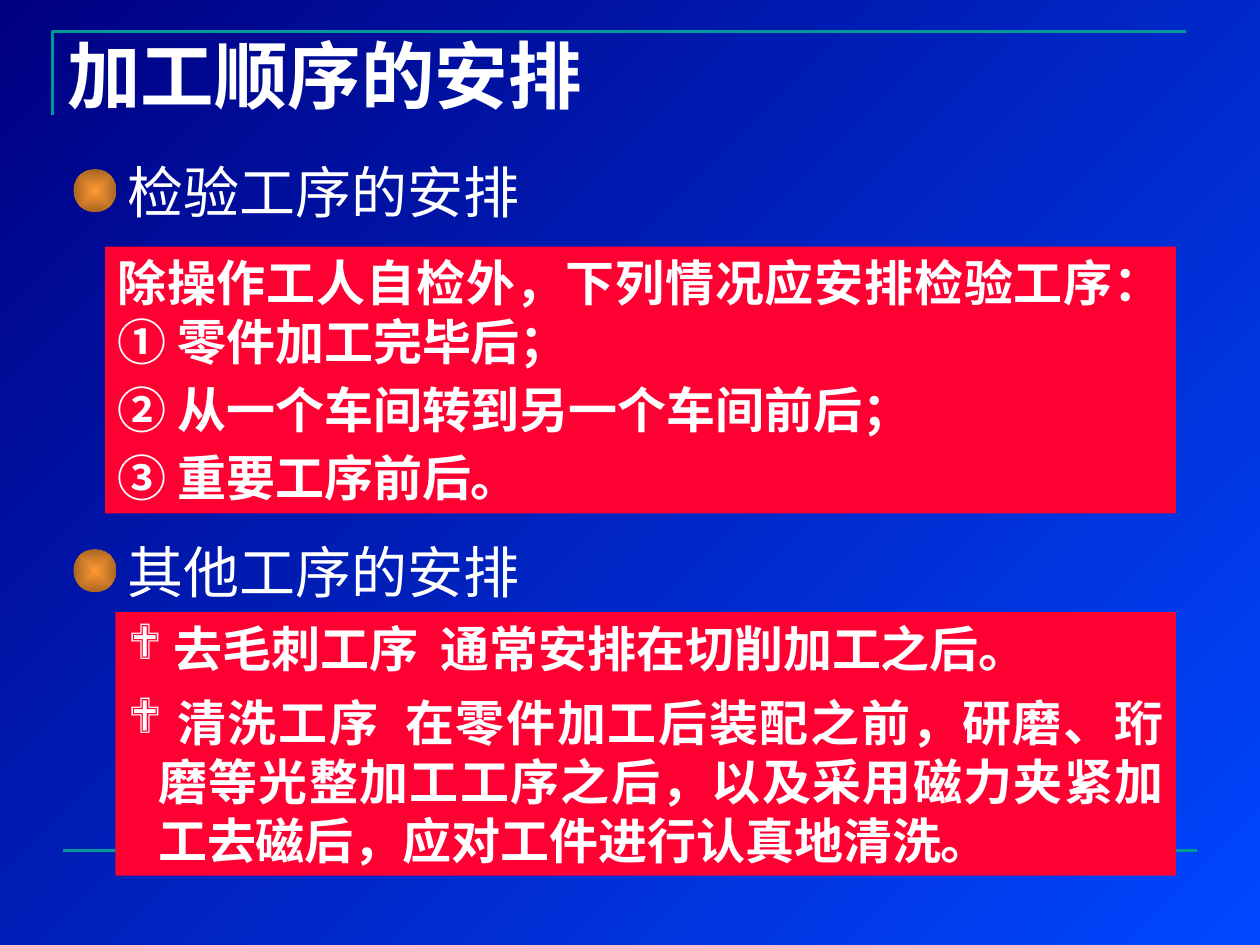
from lxml.etree import SubElement
from pptx import Presentation
from pptx.dml.color import RGBColor
from pptx.enum.shapes import MSO_CONNECTOR, MSO_SHAPE
from pptx.enum.text import MSO_ANCHOR, MSO_AUTO_SIZE, PP_ALIGN
from pptx.oxml import parse_xml
from pptx.oxml.ns import nsdecls, qn
from pptx.util import Inches, Pt

COLORS = {"navy": "000082", "blue": "0047FF", "rule": "009999", "panel": "FF0033",
          "text": "FFFFFF", "ball_core": "FF9933", "ball_edge": "A96522"}
SANS = "Noto Sans CJK SC"
CELL = Inches(10) / 120  # the slide is a grid of 120 columns by 90 rows

TITLE = {"size": Pt(42), "bold": True, "name": SANS}
HEADING = {"size": Pt(32), "bold": False, "name": SANS}
BODY = {"size": Pt(28), "bold": True, "name": SANS}

CHECKS = ["除操作工人自检外，下列情况应安排检验工序： ① 零件加工完毕后；",
          "② 从一个车间转到另一个车间前后；",
          "③ 重要工序前后。"]
OTHERS = [" 去毛刺工序  通常安排在切削加工之后。",
          " 清洗工序  在零件加工后装配之前，研磨、珩磨等光整加工工序之后，"
          "以及采用磁力夹紧加工去磁后，应对工件进行认真地清洗。"]


def rgb(key):
    return RGBColor.from_string(COLORS[key])


def grid(*cells):
    return [round(cell * CELL) for cell in cells]


def style_rule(rule):
    rule.line.color.rgb = rgb("rule")
    rule.line.width = Pt(1.5)
    SubElement(rule._element.spPr, qn("a:effectLst"))


def set_gradient(fill, keys):
    fill.gradient()
    for stop, key, position in zip(fill.gradient_stops, keys, (0, 1)):
        stop.color.rgb = rgb(key)
        stop.position = position


def write(frame, texts, font, align=PP_ALIGN.JUSTIFY, gap=0, spacing=None, bullet=None):
    settings = {"word_wrap": True, "auto_size": MSO_AUTO_SIZE.SHAPE_TO_FIT_TEXT,
                "vertical_anchor": MSO_ANCHOR.TOP}
    for name, value in settings.items():
        setattr(frame, name, value)
    for index, text in enumerate(texts):
        paragraph = frame.add_paragraph() if index else frame.paragraphs[0]
        paragraph.alignment = align
        paragraph.space_before = Pt(gap if index else 0)
        if spacing:
            paragraph.line_spacing = spacing
        if bullet:
            props = paragraph._p.get_or_add_pPr()
            hang = Inches(0.24)
            props.set("marL", str(hang))
            props.set("indent", str(-hang))
            SubElement(props, qn("a:buFont")).set("typeface", "Wingdings")
            SubElement(props, qn("a:buChar")).set("char", bullet)
        run = paragraph.add_run()
        run.text = text
        for name, value in font.items():
            setattr(run.font, name, value)
        run.font.color.rgb = rgb("text")
        east_asian = parse_xml(f'<a:ea {nsdecls("a")} typeface="{SANS}"/>')
        run.font._element.find(qn("a:latin")).addnext(east_asian)


def add_frame_rules(slide, left, top, width, height):
    # Corner rule beside the title
    outline = slide.shapes.build_freeform(*grid(left, top + 8))
    outline.add_line_segments([grid(left, top), grid(left + width, top)], close=False)
    corner = outline.convert_to_shape()
    corner.fill.background()
    style_rule(corner)
    # Footer rule
    foot = top + height
    footer = slide.shapes.add_connector(
        MSO_CONNECTOR.STRAIGHT, *grid(left + 1, foot, left + width + 1, foot))
    style_rule(footer)


def add_title(slide, box, text):
    title = slide.shapes.add_textbox(*grid(*box))
    write(title.text_frame, [text], TITLE, PP_ALIGN.LEFT)


def add_heading(slide, left, top, text, font):
    group = slide.shapes.add_group_shape()
    # Glowing ball
    ball = group.shapes.add_shape(MSO_SHAPE.OVAL, *grid(left, top + 2.3, 4.1, 4.1))
    ball.shadow.inherit = False
    ball.line.fill.background()
    set_gradient(ball.fill, ("ball_core", "ball_edge"))
    gradient = ball._element.spPr.find(qn("a:gradFill"))
    gradient.remove(gradient.find(qn("a:lin")))
    gradient.append(parse_xml(
        f'<a:path {nsdecls("a")} path="rect">'
        '<a:fillToRect l="50000" t="50000" r="50000" b="50000"/></a:path>'))
    # Heading text
    label = group.shapes.add_textbox(*grid(left + 4, top, 60, 8.3))
    write(label.text_frame, [text], font, spacing=1.1)


def add_panel(slide, box, texts, gap, bullet=None):
    panel = slide.shapes.add_shape(MSO_SHAPE.RECTANGLE, *grid(*box))
    panel.shadow.inherit = False
    panel.fill.solid()
    panel.fill.fore_color.rgb = rgb("panel")
    panel.line.fill.background()
    write(panel.text_frame, texts, BODY, gap=gap, bullet=bullet)


def main():
    deck = Presentation()
    deck.slide_width, deck.slide_height = grid(120, 90)
    slide = deck.slides.add_slide(deck.slide_layouts[6])
    background = slide.background.fill
    set_gradient(background, ("navy", "blue"))
    background.gradient_angle = 315

    add_frame_rules(slide, 5, 3, 108, 78)
    # Inspection operations
    add_panel(slide, (10, 23.5, 102, 25.4), CHECKS, gap=5.2)
    # Other operations
    add_heading(slide, 7, 50, "其他工序的安排", HEADING)
    add_panel(slide, (11, 58.3, 101, 25.1), OTHERS, gap=8.8, bullet="❖")
    add_heading(slide, 7, 13.8, "检验工序的安排", HEADING | {"name": "Times New Roman"})
    add_title(slide, (5.2, 2.3, 102.1, 9.6), "加工顺序的安排")
    deck.save("out.pptx")


if __name__ == "__main__":
    main()
